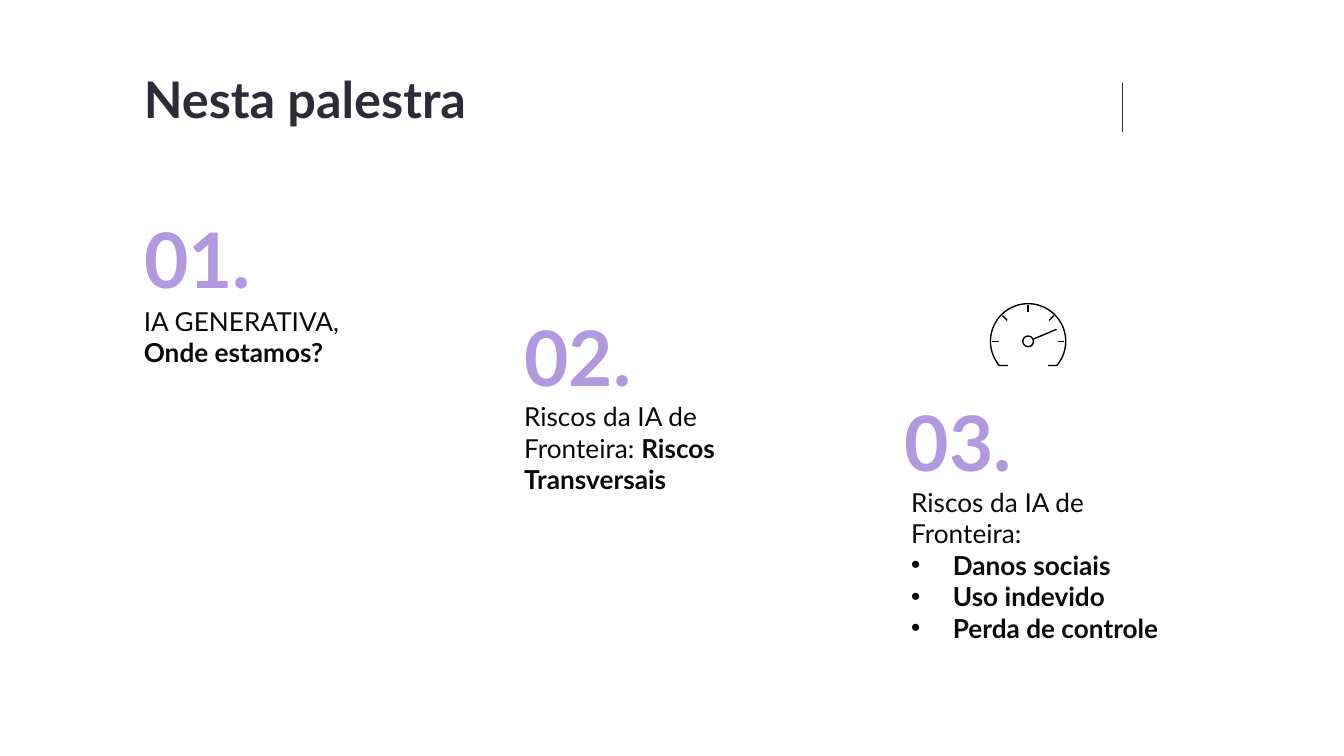
from math import cos, radians, sin

from lxml import etree
from pptx import Presentation
from pptx import util as u
from pptx.dml import color as col
from pptx.enum import shapes, text
from pptx.oxml import ns

INK, LILAC, BODY, BLACK = "2E2B38", "B198DF", "090909", "000000"


def rgb(code):
    return col.RGBColor.from_string(code)


class Deck:
    font = "Lato"
    stroke = u.Pt(0.75)
    frame = {
        "word_wrap": True,
        "vertical_anchor": text.MSO_ANCHOR.TOP,
        "margin_left": u.Inches(0.07),
        "margin_right": u.Inches(0.07),
        "margin_top": u.Inches(0.04),
        "margin_bottom": u.Inches(0.04),
    }

    def __init__(self, wide, high):
        self.prs = Presentation()
        self.prs.slide_width = u.Inches(wide)
        self.prs.slide_height = u.Inches(high)
        self.slide = self.prs.slides.add_slide(self.prs.slide_layouts[6])

    def text(self, box, paras, size, color, align=text.PP_ALIGN.LEFT):
        """Each paragraph is (bulleted, [(words, bold), ...])."""
        shape = self.slide.shapes.add_textbox(*map(u.Inches, box))
        body = shape.text_frame
        for name, value in self.frame.items():
            setattr(body, name, value)
        for i, (dot, runs) in enumerate(paras):
            para = body.add_paragraph() if i else body.paragraphs[0]
            para.alignment = align
            if dot:
                self.bullet(para)
            for words, bold in runs:
                run = para.add_run()
                run.text = words
                style = {"name": self.font, "size": u.Pt(size), "bold": bold}
                for name, value in style.items():
                    setattr(run.font, name, value)
                run.font.color.rgb = rgb(color)

    def bullet(self, para):
        props = para._p.get_or_add_pPr()
        indent = u.Inches(0.31)
        props.set("marL", str(indent))
        props.set("indent", str(-indent))
        tint = etree.SubElement(props, ns.qn("a:buClr"))
        etree.SubElement(tint, ns.qn("a:srgbClr"), val=BLACK)
        etree.SubElement(props, ns.qn("a:buFont"), typeface="Arial")
        etree.SubElement(props, ns.qn("a:buChar"), char="•")

    def ink(self, shape, color):
        shape.line.color.rgb = rgb(color)
        shape.line.width = self.stroke

    def line(self, start, end, color=BLACK):
        ends = map(u.Inches, (*start, *end))
        link = self.slide.shapes.add_connector(shapes.MSO_CONNECTOR.STRAIGHT, *ends)
        self.ink(link, color)
        etree.SubElement(link._element.spPr, ns.qn("a:effectLst"))

    def hollow(self, shape):
        shape.shadow.inherit = False
        shape.fill.background()
        self.ink(shape, BLACK)

    def ring(self, mid, rad):
        box = (mid[0] - rad, mid[1] - rad, 2 * rad, 2 * rad)
        kind = shapes.MSO_SHAPE.OVAL
        self.hollow(self.slide.shapes.add_shape(kind, *map(u.Inches, box)))

    def trace(self, points):
        first, *rest = [(u.Inches(x), u.Inches(y)) for x, y in points]
        path = self.slide.shapes.build_freeform(*first)
        path.add_line_segments(rest, close=False)
        self.hollow(path.convert_to_shape())


# Widescreen page, 16 to 9
deck = Deck(10, 10 * 9 / 16)

# Title and the rule at its right
deck.text((1, 0.47, 3.29, 0.53), [(False, [("Nesta palestra", True)])], 27, INK)
deck.line((8.35, 0.62), (8.35, 0.98), INK)

# Numbered topics: number top, body left and top, paragraphs
risks = "Riscos da IA de Fronteira:"
harms = ("Danos sociais", "Uso indevido", "Perda de controle")
topics = [
    (1.54, 1, 2.23, [(False, [("IA GENERATIVA,", False)]),
                     (False, [("Onde estamos?", True)])]),
    (2.27, 3.83, 2.94, [(False, [(risks + " ", False), ("Riscos Transversais", True)])]),
    (2.9, 6.71, 3.58, [(False, [(risks, False)])]
     + [(True, [(harm, True)]) for harm in harms]),
]
for i, (top, left, low, paras) in enumerate(topics):
    label = [(False, [(f"{i + 1:02}.", True)])]
    deck.text((0.71 + 2.83 * i, top, 1.52, 0.76), label, 41, LILAC, text.PP_ALIGN.CENTER)
    deck.text((left, low, 2.29, 0.76), paras, 14, BODY)

# Gauge icon: dial with two feet, hub, ticks and needle
hub = (7.65, 2.54)


def polar(rad, deg):
    return hub[0] + rad * cos(radians(deg)), hub[1] + rad * sin(radians(deg))


arc = [polar(0.28, deg) for deg in range(140, 401, 4)]
deck.trace([(7.5, 2.72), *arc, (7.8, 2.72)])
deck.ring(hub, 0.04)
for deg in range(180, 361, 45):
    deck.line(polar(0.27, deg), polar(0.22, deg))
deck.line(polar(0.04, -23), polar(0.23, -23))

deck.prs.save("out.pptx")
